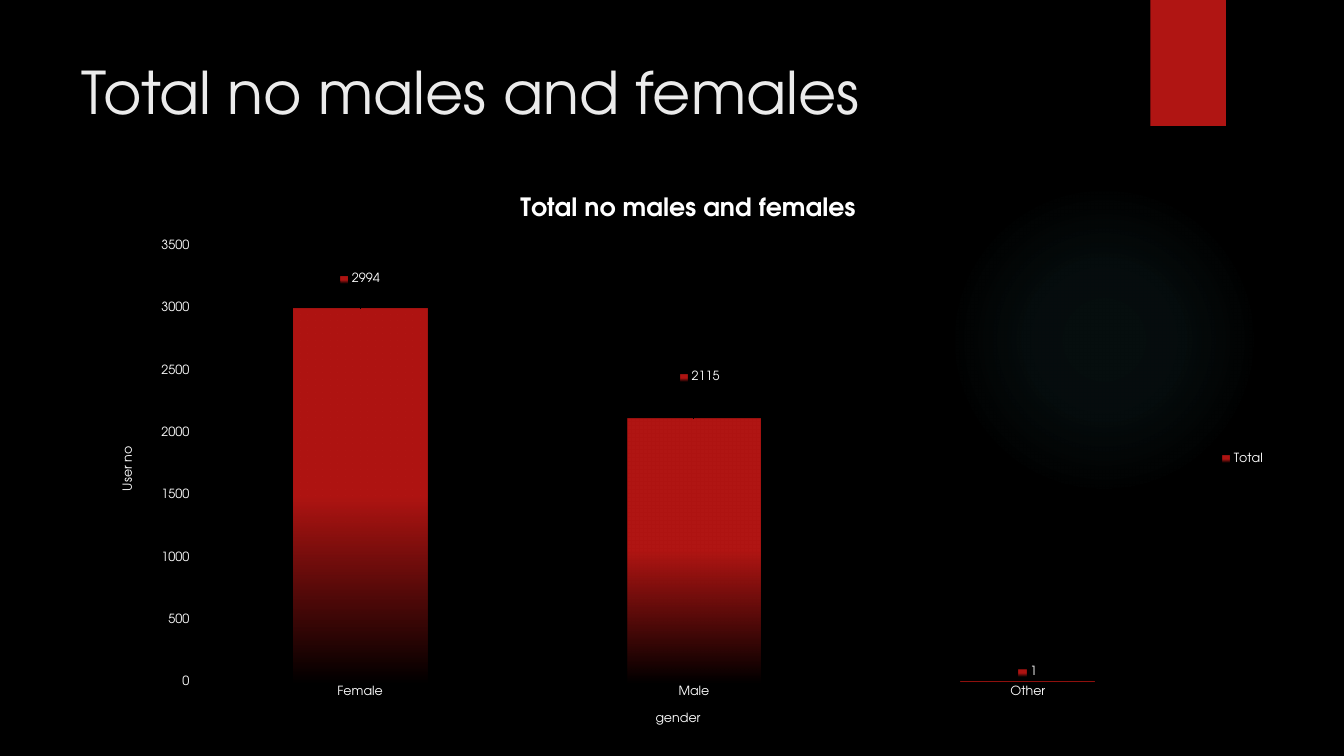
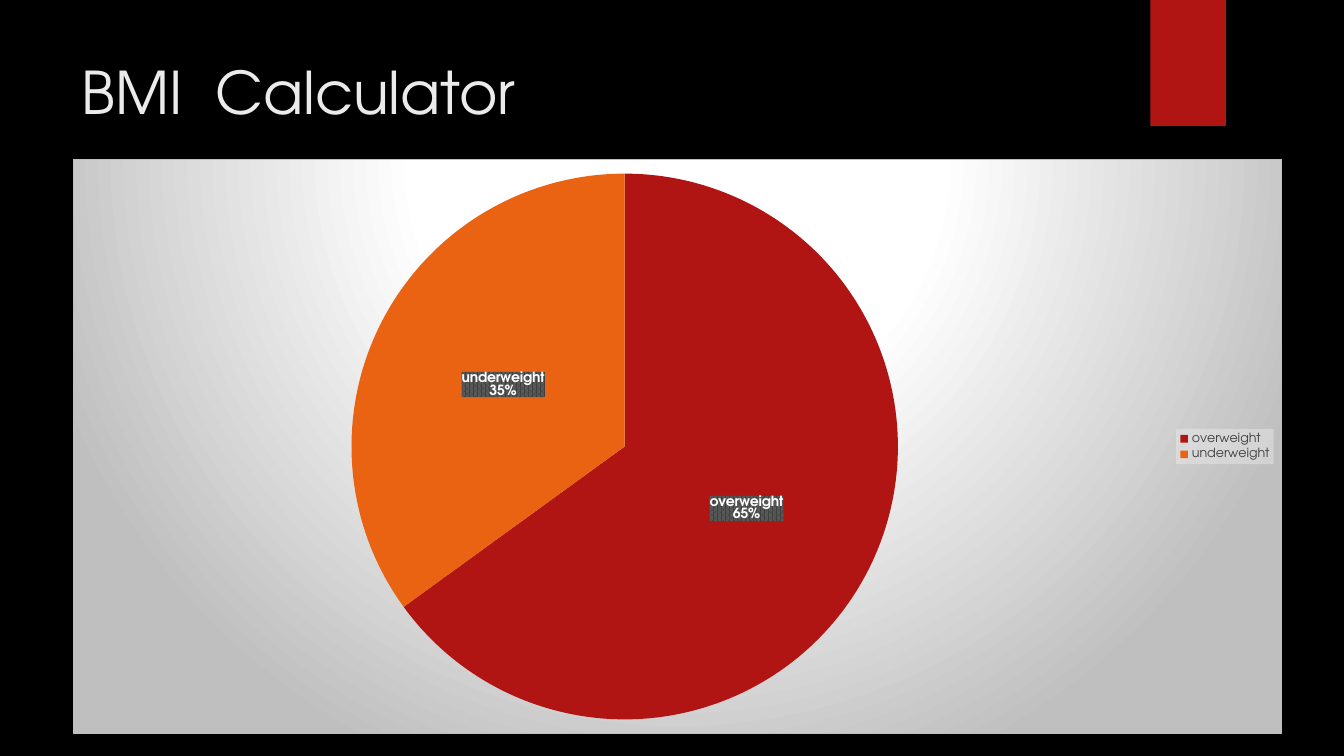
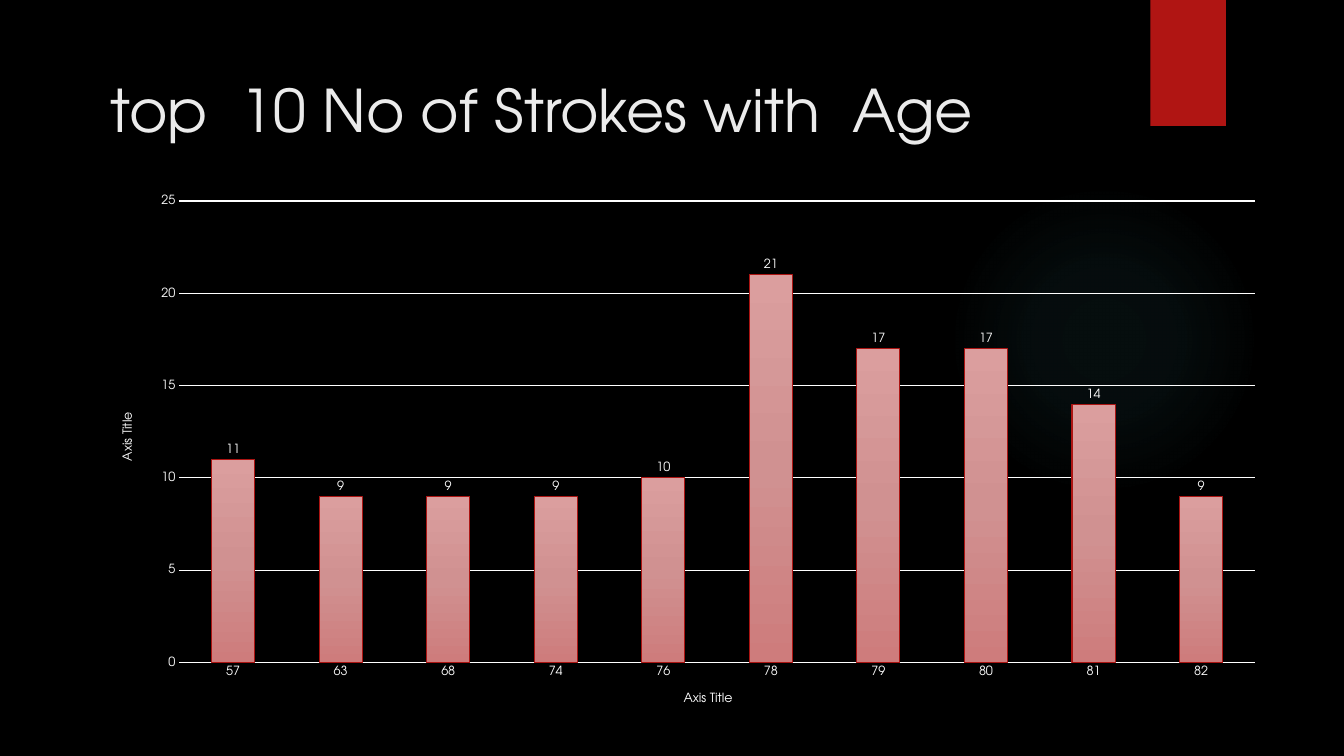
from lxml.etree import SubElement
from pptx import Presentation
from pptx.chart.data import CategoryChartData
from pptx.dml.color import RGBColor
from pptx.enum.chart import XL_CHART_TYPE, XL_LABEL_POSITION, XL_LEGEND_POSITION, XL_TICK_MARK
from pptx.enum.shapes import MSO_SHAPE
from pptx.enum.text import MSO_ANCHOR, MSO_AUTO_SIZE, PP_ALIGN
from pptx.oxml import parse_xml
from pptx.oxml.ns import nsdecls, qn
from pptx.util import Inches, Pt

FONT = "TeX Gyre Adventor"
BLACK, WHITE, TITLE_COLOR = "000000", "FFFFFF", "EBEBEB"
RED, ORANGE, TEAL = "B01513", "EA6312", "50B9C1"
SILVER, DARK_GREY = "BFBFBF", "404040"

GLOW_STOPS = [(0, TEAL, 7), (36, TEAL, 6), (69, TEAL, 0)]
PANEL_STOPS = [(0, WHITE, 100), (39, WHITE, 100), (100, SILVER, 100)]
FADE_STOPS = [(50, RED, 100), (100, RED, 0)]
PINK_STOPS = [(0, "DB9E9E", 100), (50, "D09191", 100), (100, "CE7C7C", 100)]

TITLE_BOX = (0.71, 0.5, 10.29, 1.53)

GENDER = {
    "title": "Total no males and females",
    "title_box": TITLE_BOX,
    "chart_box": (1, 1.72, 11.65, 5.67),
    "chart_title": "Total no males and females",
    "series": "Total",
    "values": {"Female": 2994, "Male": 2115, "Other": 1},
    "axis_titles": ("gender", "User no"),
    "stops": FADE_STOPS,
    "legend_color": WHITE,
    "label_keys": True,
    "label_shifts": [(0, -0.035), (0.005, -0.055)],
}
BMI = {
    "title": "BMI  Calculator",
    "title_box": TITLE_BOX,
    "chart_box": (0.72, 1.58, 12, 5.7),
    "series": "Series 1",
    "values": {"overweight": 65, "underweight": 35},
    "slice_colors": [RED, ORANGE],
    "legend_color": DARK_GREY,
}
STROKES = {
    "title": "top  10 No of Strokes with  Age",
    "title_box": (1, 0.68, 11.33, 0.82),
    "chart_box": (1, 1.83, 11.68, 5.36),
    "series": "Series 1",
    "values": {"57": 11, "63": 9, "68": 9, "74": 9, "76": 10,
               "78": 21, "79": 17, "80": 17, "81": 14, "82": 9},
    "axis_titles": ("Axis Title", "Axis Title"),
    "stops": PINK_STOPS,
    "outline": "AC1513",
    "gridlines": True,
}


def rgb(color):
    return RGBColor.from_string(color)


def inches(box):
    return [Inches(length) for length in box]


def style_font(font, size, color, bold=False):
    font.name = FONT
    font.size = Pt(size)
    font.bold = bold
    font.color.rgb = rgb(color)


def color_xml(color, opacity=100):
    return f'<a:srgbClr val="{color}"><a:alpha val="{opacity * 1000}"/></a:srgbClr>'


def gradient_xml(stops, center=None):
    stop_xml = "".join(
        f'<a:gs pos="{position * 1000}">{color_xml(color, opacity)}</a:gs>'
        for position, color, opacity in stops)
    if center:
        sides = " ".join(f'{side}="{percent * 1000}"' for side, percent in zip("ltrb", center))
        direction = f'<a:path path="circle"><a:fillToRect {sides}/></a:path>'
    else:
        direction = '<a:lin ang="5400000" scaled="0"/>'
    return (f'<a:gradFill {nsdecls("a")} rotWithShape="1"><a:gsLst>{stop_xml}</a:gsLst>'
            f'{direction}</a:gradFill>')


def set_gradient(fill, properties, stops, center=None):
    fill.solid()
    solid = properties.find(qn("a:solidFill"))
    properties.replace(solid, parse_xml(gradient_xml(stops, center)))


def add_box_style(element, style_xml):
    properties = parse_xml(f'<c:spPr {nsdecls("c", "a")}>{style_xml}</c:spPr>')
    element.find(qn("c:txPr")).addprevious(properties)


def add_shape(slide, kind, box):
    shape = slide.shapes.add_shape(kind, *inches(box))
    shape.shadow.inherit = False
    shape.line.fill.background()
    return shape


def add_slide(presentation, content):
    slide = presentation.slides.add_slide(presentation.slide_layouts[5])
    glow = add_shape(slide, MSO_SHAPE.OVAL, (9.41, 1.83, 3.08, 3.08))
    set_gradient(glow.fill, glow._element.spPr, GLOW_STOPS, (50, 50, 50, 50))
    band = add_shape(slide, MSO_SHAPE.RECTANGLE, (11.41, 0, 0.75, 1.25))
    band.fill.solid()
    band.fill.fore_color.rgb = rgb(RED)

    title = slide.shapes.title
    title.left, title.top, title.width, title.height = inches(content["title_box"])
    frame = title.text_frame
    frame.auto_size = MSO_AUTO_SIZE.NONE
    frame.vertical_anchor = MSO_ANCHOR.TOP
    paragraph = frame.paragraphs[0]
    paragraph.alignment = PP_ALIGN.LEFT
    run = paragraph.add_run()
    run.text = content["title"]
    style_font(run.font, 42, TITLE_COLOR)
    return slide


def add_chart(slide, kind, content):
    data = CategoryChartData()
    data.categories = list(content["values"])
    data.add_series(content["series"], list(content["values"].values()))
    chart = slide.shapes.add_chart(kind, *inches(content["chart_box"]), data).chart
    style_font(chart.font, 10, WHITE)
    chart.has_title = "chart_title" in content
    if chart.has_title:
        set_title(chart.chart_title, content["chart_title"], 18, True)
    chart.has_legend = "legend_color" in content
    if chart.has_legend:
        chart.legend.position = XL_LEGEND_POSITION.RIGHT
        chart.legend.include_in_layout = False
        style_font(chart.legend.font, 9, content["legend_color"])
    return chart


def set_title(title, text, size, bold=False):
    run = title.text_frame.paragraphs[0].add_run()
    run.text = text
    style_font(run.font, size, WHITE, bold)


def style_axis(axis, text, gridlines):
    axis.has_major_gridlines = gridlines
    if gridlines:
        axis.major_gridlines.format.line.color.rgb = rgb(WHITE)
        axis.major_gridlines.format.line.width = Pt(0.75)
    axis.major_tick_mark = XL_TICK_MARK.NONE
    axis.minor_tick_mark = XL_TICK_MARK.NONE
    axis.format.line.fill.background()
    style_font(axis.tick_labels.font, 9, WHITE)
    set_title(axis.axis_title, text, 9)


def shift_label(label, x, y, show_key):
    style_font(label.font, 9, WHITE)
    label.position = XL_LABEL_POSITION.OUTSIDE_END
    element = label._dLbl
    element.find(qn("c:showLegendKey")).set("val", str(int(show_key)))
    layout = parse_xml(f'<c:layout {nsdecls("c")}/>')
    manual = SubElement(layout, qn("c:manualLayout"))
    for name, value in (("x", x), ("y", y)):
        SubElement(manual, qn(f"c:{name}")).set("val", str(value))
    element.find(qn("c:idx")).addnext(layout)


def add_column_chart(slide, content):
    chart = add_chart(slide, XL_CHART_TYPE.COLUMN_CLUSTERED, content)
    category_title, value_title = content["axis_titles"]
    style_axis(chart.category_axis, category_title, False)
    style_axis(chart.value_axis, value_title, content.get("gridlines", False))
    plot = chart.plots[0]
    plot.gap_width = 150
    plot.vary_by_categories = False
    series = plot.series[0]
    series.invert_if_negative = False
    series_fill = series.format.fill
    series_fill.solid()
    set_gradient(series_fill, series._element.find(qn("c:spPr")), content["stops"])
    if "outline" in content:
        series.format.line.color.rgb = rgb(content["outline"])
        series.format.line.width = Pt(0.75)
    show_key = content.get("label_keys", False)
    labels = series.data_labels
    labels.show_value = True
    labels.show_legend_key = show_key
    labels.position = XL_LABEL_POSITION.OUTSIDE_END
    style_font(labels.font, 9, WHITE)
    for index, (x, y) in enumerate(content.get("label_shifts", [])):
        shift_label(series.points[index].data_label, x, y, show_key)


def add_pie_chart(slide, content):
    chart = add_chart(slide, XL_CHART_TYPE.PIE, content)
    add_box_style(chart._chartSpace, gradient_xml(PANEL_STOPS, (50, -80, 50, 180))
                  + f'<a:ln w="9525"><a:solidFill>{color_xml(SILVER)}</a:solidFill></a:ln>')
    add_box_style(chart.legend._element,
                  f'<a:solidFill>{color_xml("F2F2F2", 39)}</a:solidFill>')
    series = chart.plots[0].series[0]
    for index, color in enumerate(content["slice_colors"]):
        fill = series.points[index].format.fill
        fill.solid()
        fill.fore_color.rgb = rgb(color)
    labels = series.data_labels
    labels.show_value = False
    labels.show_percentage = True
    labels.show_category_name = True
    labels.position = XL_LABEL_POSITION.CENTER
    style_font(labels.font, 10, WHITE, True)
    add_box_style(labels._element,
                  f'<a:pattFill prst="pct75"><a:fgClr>{color_xml(DARK_GREY)}</a:fgClr>'
                  f'<a:bgClr>{color_xml("595959")}</a:bgClr></a:pattFill>')


def main():
    presentation = Presentation()
    presentation.slide_width, presentation.slide_height = Inches(13.33), Inches(7.5)
    background = presentation.slide_master.background.fill
    background.solid()
    background.fore_color.rgb = rgb(BLACK)
    for content, draw_chart in ((GENDER, add_column_chart),
                                (BMI, add_pie_chart),
                                (STROKES, add_column_chart)):
        draw_chart(add_slide(presentation, content), content)
    presentation.save("out.pptx")


if __name__ == "__main__":
    main()
